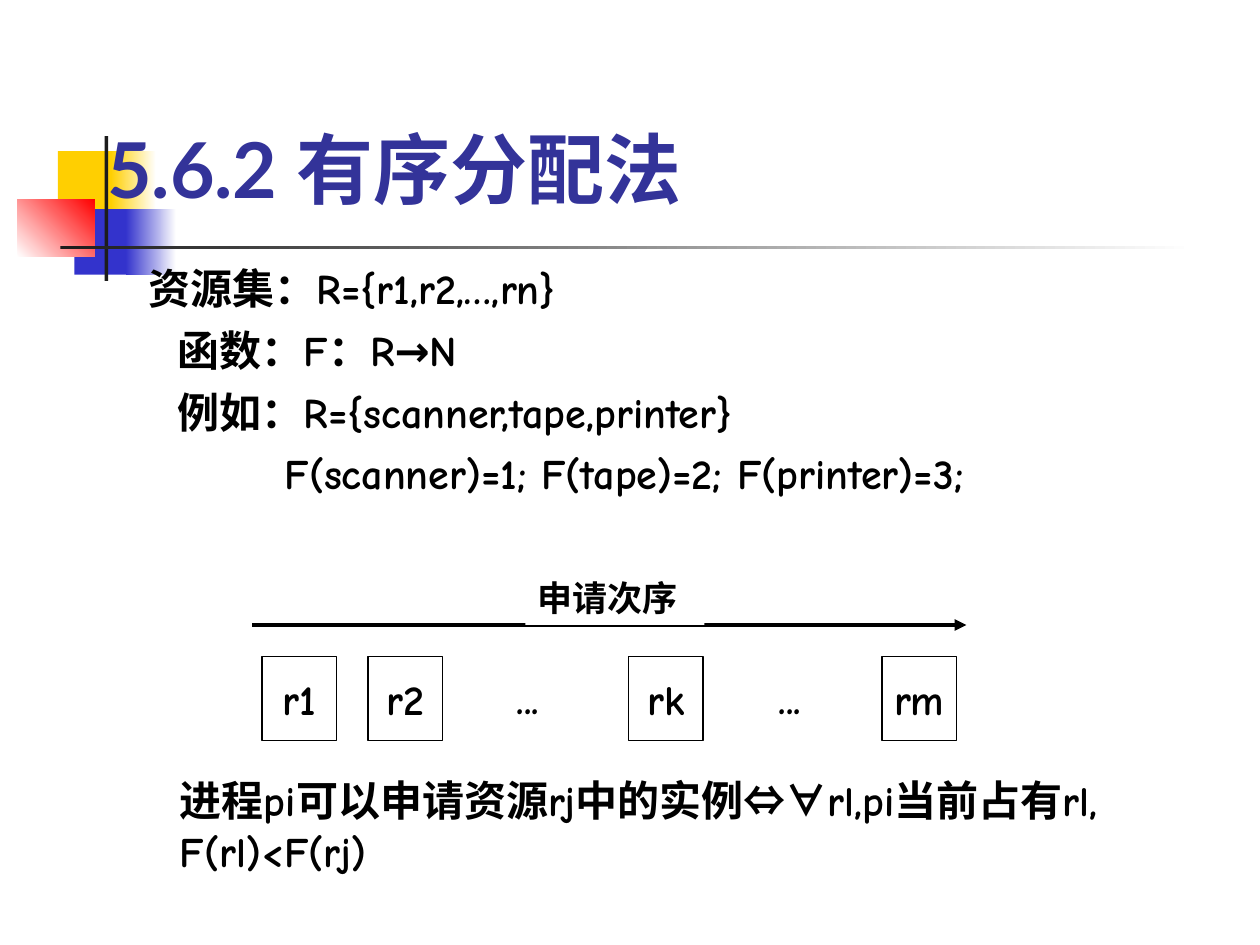
from dataclasses import dataclass
from typing import Optional

from lxml import etree
from pptx import Presentation
from pptx import util as u
from pptx.dml.color import RGBColor
from pptx.enum import shapes, text
from pptx.oxml import ns

BLACK = RGBColor(0, 0, 0)
WHITE = RGBColor(255, 255, 255)
GOLD = RGBColor(0xFF, 0xCF, 0x01)
BLUE = RGBColor(0x33, 0x33, 0xCC)
RED = RGBColor(0xFF, 0, 0)
DARK = RGBColor(0x1C, 0x1C, 0x1C)
NAVY = RGBColor(0x33, 0x33, 0x99)
COMIC = "Comic Neue"
TIMES = "Times New Roman"


@dataclass
class Block:
    left: float
    top: float
    width: float
    height: float
    fill: RGBColor
    fade: Optional[RGBColor] = None
    angle: int = 0


@dataclass
class Row:
    spans: list[tuple[str, str]]
    indent: float
    space: float
    lines: float = 0.8


@dataclass
class Note:
    words: str
    left: float
    top: float
    width: float
    height: float
    face: str = COMIC
    size: int = 24


BLOCKS = [
    Block(0.46, 1.2, 0.48, 0.52, GOLD),
    Block(0.88, 1.2, 0.36, 0.52, GOLD, WHITE),
    Block(0.59, 1.66, 0.46, 0.52, BLUE),
    Block(1, 1.66, 0.4, 0.52, BLUE, WHITE),
    Block(0.14, 1.58, 0.61, 0.46, WHITE, RED, 45),
    Block(0.83, 1.08, 0.03, 1.15, DARK),
    Block(0.48, 1.95, 9, 0.03, DARK, WHITE),
]
ROWS = [
    Row([("资源集：R={r1,r2,…,rn}", COMIC)], 0, 0, 0.9),
    Row([("函数：F：R→N", COMIC)], 0.23, 12),
    Row([("例如：", TIMES), ("R={scanner,tape,printer}", COMIC)], 0.23, 12),
    Row([("F(scanner)=1; F(tape)=2; F(printer)=3;", COMIC)], 1.08, 12),
]
NODES = {"r1": 2.08, "r2": 2.92, "rk": 4.99, "rm": 7}
DOTS = [Note("...", left, 5.29, 0.58, 0.5) for left in (4, 6.08)]
ORDER = Note("申请次序", 4.17, 4.53, 1.42, 0.43, TIMES, 20)
RULE = Note("进程pi可以申请资源rj中的实例⇔∀rl,pi当前占有rl, F(rl)<F(rj)",
            1.33, 6.1, 7.92, 0.9)


def style(font, face: str, size: int, color: RGBColor = BLACK) -> None:
    font.name = face
    font.size = u.Pt(size)
    font.bold = True
    font.color.rgb = color


def place(shape, left: float, top: float, width: float, height: float) -> None:
    shape.left, shape.top = u.Inches(left), u.Inches(top)
    shape.width, shape.height = u.Inches(width), u.Inches(height)


def draw_block(slide, block: Block):
    shape = slide.shapes.add_shape(
        shapes.MSO_SHAPE.RECTANGLE, u.Inches(block.left), u.Inches(block.top),
        u.Inches(block.width), u.Inches(block.height))
    shape.shadow.inherit = False
    shape.line.fill.background()
    if block.fade is None:
        shape.fill.solid()
        shape.fill.fore_color.rgb = block.fill
    else:
        shape.fill.gradient()
        shape.fill.gradient_angle = block.angle
        for stop, color in zip(shape.fill.gradient_stops, (block.fill, block.fade)):
            stop.color.rgb = color
    return shape


def draw_title(slide) -> None:
    title = slide.shapes.title
    place(title, 0.75, 0.5, 8.5, 1.25)
    frame = title.text_frame
    frame.text = "5.6.2 有序分配法"
    frame.vertical_anchor = text.MSO_ANCHOR.BOTTOM
    frame.auto_size = text.MSO_AUTO_SIZE.NONE
    frame.paragraphs[0].alignment = text.PP_ALIGN.LEFT
    style(frame.paragraphs[0].font, "Lato", 44, NAVY)


def draw_body(slide) -> None:
    body = slide.placeholders[1]
    place(body, 1.08, 2.08, 8.17, 2.02)
    frame = body.text_frame
    frame.auto_size = text.MSO_AUTO_SIZE.NONE
    for i, row in enumerate(ROWS):
        para = frame.add_paragraph() if i else frame.paragraphs[0]
        props = para._p.get_or_add_pPr()
        props.set("marL", str(u.Inches(row.indent)))
        props.set("indent", "0")
        etree.SubElement(props, ns.qn("a:buNone"))
        para.space_before = u.Pt(row.space)
        para.line_spacing = row.lines
        for words, face in row.spans:
            run = para.add_run()
            run.text = words
            style(run.font, face, 24)


def draw_note(slide, note: Note, fill: bool = True) -> None:
    box = slide.shapes.add_textbox(0, 0, 0, 0)
    place(box, note.left, note.top, note.width, note.height)
    if fill:
        box.fill.solid()
        box.fill.fore_color.rgb = WHITE
    frame = box.text_frame
    frame.word_wrap = True
    frame.text = note.words
    style(frame.paragraphs[0].font, note.face, note.size)


def draw_node(slide, name: str, left: float) -> None:
    node = draw_block(slide, Block(left, 5.21, 0.59, 0.67, WHITE))
    node.line.color.rgb = BLACK
    node.line.width = u.Pt(0.75)
    frame = node.text_frame
    frame.word_wrap = False
    frame.text = name
    frame.vertical_anchor = text.MSO_ANCHOR.MIDDLE
    frame.paragraphs[0].alignment = text.PP_ALIGN.CENTER
    style(frame.paragraphs[0].font, COMIC, 24)


def draw_arrow(slide) -> None:
    y = u.Inches(4.96)
    arrow = slide.shapes.add_connector(
        shapes.MSO_CONNECTOR.STRAIGHT, u.Inches(2), y, u.Inches(7.67), y)
    arrow.line.color.rgb = BLACK
    arrow.line.width = u.Pt(2.25)
    etree.SubElement(arrow.line._get_or_add_ln(), ns.qn("a:tailEnd"), type="triangle")
    etree.SubElement(arrow.element.spPr, ns.qn("a:effectLst"))


def main() -> None:
    deck = Presentation()
    deck.slide_width, deck.slide_height = u.Inches(10), u.Inches(7.5)
    slide = deck.slides.add_slide(deck.slide_layouts[1])
    for block in BLOCKS:
        draw_block(slide, block)
    for holder in list(slide.placeholders):
        holder.element.getparent().append(holder.element)
    draw_title(slide)
    draw_body(slide)
    draw_note(slide, RULE, fill=False)
    for name, left in NODES.items():
        draw_node(slide, name, left)
    for dots in DOTS:
        draw_note(slide, dots)
    draw_arrow(slide)
    draw_note(slide, ORDER)
    deck.save("out.pptx")


if __name__ == "__main__":
    main()
